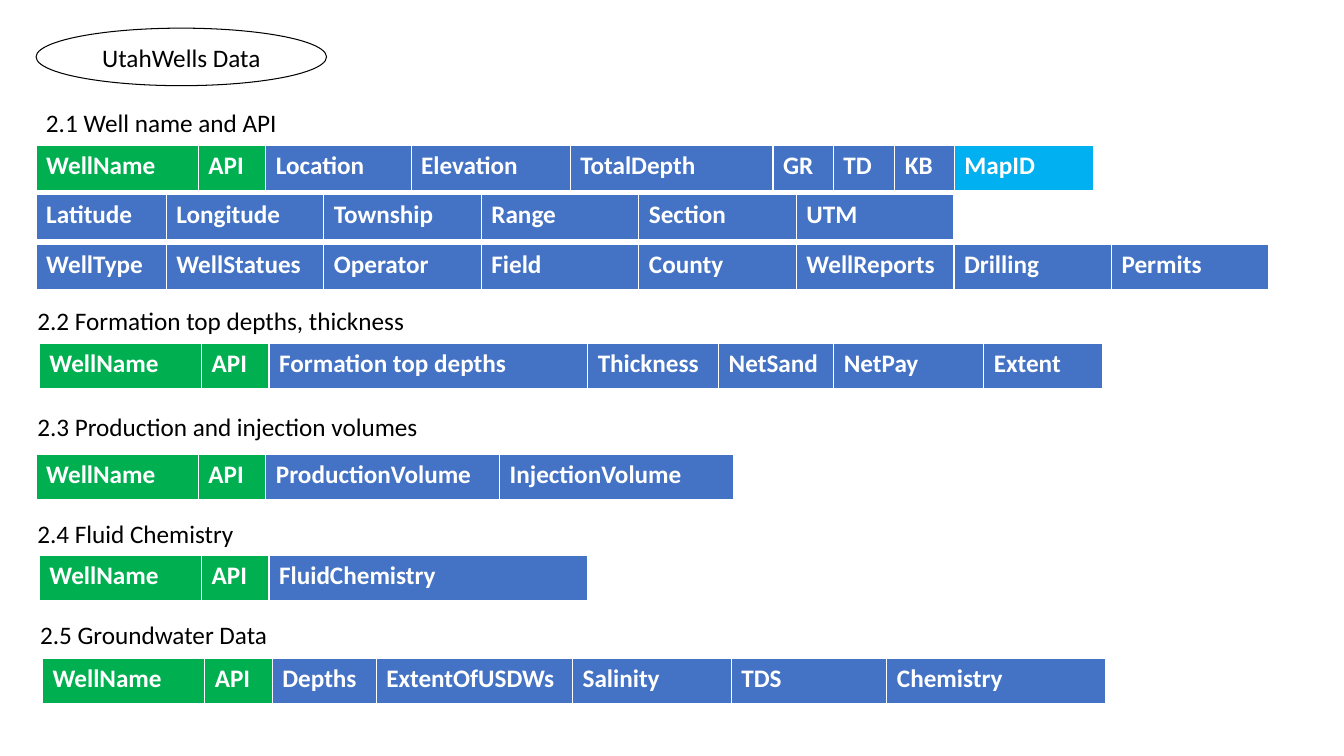
from dataclasses import dataclass

from lxml import etree
from pptx import Presentation
from pptx.dml.color import RGBColor
from pptx.enum.shapes import MSO_SHAPE as Preset
from pptx.enum.text import MSO_ANCHOR as Anchor, PP_ALIGN as Align
from pptx.oxml.ns import qn
from pptx.util import Cm, Pt


@dataclass(frozen=True)
class Theme:
    font: str = "Calibri"
    size: int = 18
    text: str = "000000"
    inverse: str = "FFFFFF"
    key: str = "00B050"
    field: str = "4472C4"
    map: str = "00B0F0"


THEME = Theme()
ROW_HEIGHT, ROW_PITCH, HEADING_HEIGHT = 1.17, 1.25, 1.02
FIELD_WIDTH = 3.97
BORDERS = {"lnL": 1, "lnR": 1, "lnT": 1, "lnB": 3}

# Each table is a fill colour and its (field, width) columns
WELL_KEY = (THEME.key, [("WellName", 4.09), ("API", 1.7)])


def fields(*columns):
    return THEME.field, list(columns)


def equal_fields(*names, width=FIELD_WIDTH):
    return fields(*((name, width) for name in names))


# Sections: box (left, top, heading width), heading shift, table drop, heading, rows of tables
SECTIONS = [
    ((0.91, 2.59, 6.38), 0, 1.07, "2.1 Well name and API", [
        [(THEME.key, WELL_KEY[1]) and
         (None, [("WellName", 4.09, THEME.key), ("API", 1.7, THEME.key), ("Location", 3.66),
                 ("Elevation", 4.01), ("TotalDepth", 5.11), ("GR", 1.52), ("TD", 1.55),
                 ("KB", 1.5)]),
         (THEME.map, [("MapID", 3.51)])],
        [fields(("Latitude", 3.28), *equal_fields(
            "Longitude", "Township", "Range", "Section", "UTM")[1])],
        [fields(("WellType", 3.28), ("WellStatues", FIELD_WIDTH)),
         equal_fields("Operator", "Field", "County"),
         equal_fields("WellReports", "Drilling", "Permits")],
    ]),
    ((0.99, 7.57, 10.06), -0.3, 1.09, "2.2 Formation top depths, thickness", [
        [WELL_KEY, fields(("Formation top depths", 8.03), ("Thickness", 3.3),
                          ("NetSand", 2.9), ("NetPay", 3.78), ("Extent", 3))],
    ]),
    ((0.91, 10.24, 13.23), -0.22, 1.22, "2.3 Production and injection volumes", [
        [WELL_KEY, equal_fields("ProductionVolume", "InjectionVolume", width=5.89)],
    ]),
    ((0.99, 12.93, 10.06), -0.3, 1.07, "2.4 Fluid Chemistry", [
        [WELL_KEY, fields(("FluidChemistry", 8.03))],
    ]),
    ((1.07, 15.49, 10.06), -0.31, 1.1, "2.5 Groundwater Data", [
        [WELL_KEY, fields(("Depths", 2.62), ("ExtentOfUSDWs", 4.95), ("Salinity", 4),
                          ("TDS", 3.92), ("Chemistry", 5.51))],
    ]),
]


def write(text_frame, text, color, bold=False):
    text_frame.text = text
    font = text_frame.paragraphs[0].runs[0].font
    font.name, font.size, font.bold = THEME.font, Pt(THEME.size), bold
    font.color.rgb = RGBColor.from_string(color)


def add_borders(cell):
    properties = cell._tc.get_or_add_tcPr()
    for index, (side, points) in enumerate(BORDERS.items()):
        line = etree.Element(qn(f"a:{side}"), w=str(Pt(points)))
        fill = etree.SubElement(line, qn("a:solidFill"))
        etree.SubElement(fill, qn("a:srgbClr"), val=THEME.inverse)
        properties.insert(index, line)


def add_title(slide, box, text):
    # Outline ellipse with the title inside it
    box = [Cm(length) for length in box]
    ellipse = slide.shapes.add_shape(Preset.OVAL, *box)
    ellipse.shadow.inherit = False
    ellipse.fill.background()
    ellipse.line.color.rgb = RGBColor.from_string(THEME.text)
    ellipse.line.width = Pt(0.75)

    title = slide.shapes.title
    title.left, title.top, title.width, title.height = box
    write(title.text_frame, text, THEME.text)
    title.text_frame.vertical_anchor = Anchor.MIDDLE
    title.text_frame.paragraphs[0].alignment = Align.CENTER
    # Bring the title in front of the ellipse
    ellipse._element.addnext(title._element)


def add_field_table(slide, left, top, color, columns):
    """Draw one row of fields and return its right edge."""
    width = sum(column[1] for column in columns)
    table = slide.shapes.add_table(
        1, len(columns), Cm(left), Cm(top), Cm(width), Cm(ROW_HEIGHT)).table
    table.first_row = table.horz_banding = False
    for index, (name, column_width, *own_color) in enumerate(columns):
        table.columns[index].width = Cm(column_width)
        cell = table.cell(0, index)
        write(cell.text_frame, name, THEME.inverse, bold=True)
        cell.fill.solid()
        cell.fill.fore_color.rgb = RGBColor.from_string(
            own_color[0] if own_color else color or THEME.field)
        add_borders(cell)
    return left + width


def add_section(slide, box, heading_shift, table_drop, heading, rows):
    left, top, width = box
    label = slide.shapes.add_textbox(
        Cm(left + heading_shift), Cm(top), Cm(width), Cm(HEADING_HEIGHT))
    label.text_frame.word_wrap = True
    write(label.text_frame, heading, THEME.text)
    for index, tables in enumerate(rows):
        edge = left
        for color, columns in tables:
            edge = add_field_table(
                slide, edge, top + table_drop + index * ROW_PITCH, color, columns)


def main():
    presentation = Presentation()
    presentation.slide_width, presentation.slide_height = Cm(33.87), Cm(19.05)
    slide = presentation.slides.add_slide(presentation.slide_layouts[5])
    add_title(slide, (0.91, 0.71, 7.32, 1.45), "UtahWells Data")
    for section in SECTIONS:
        add_section(slide, *section)
    presentation.save("out.pptx")


if __name__ == "__main__":
    main()
